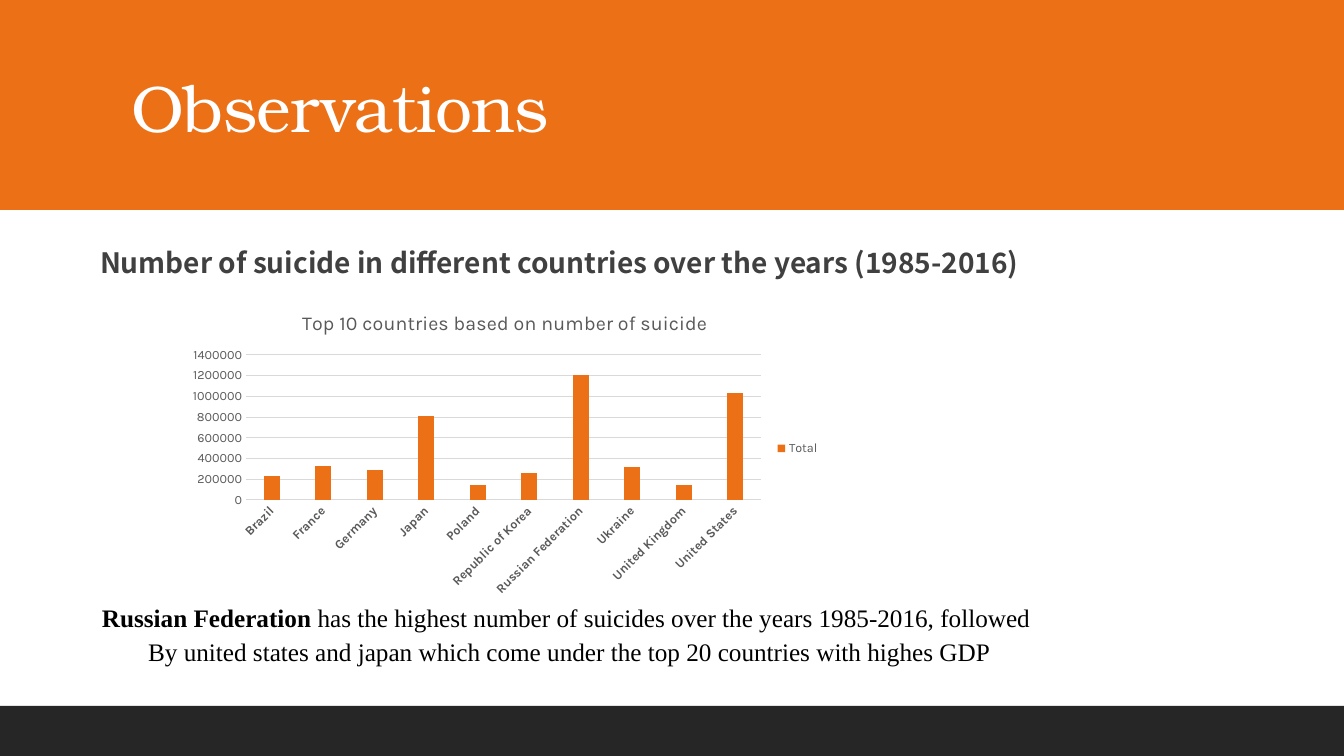
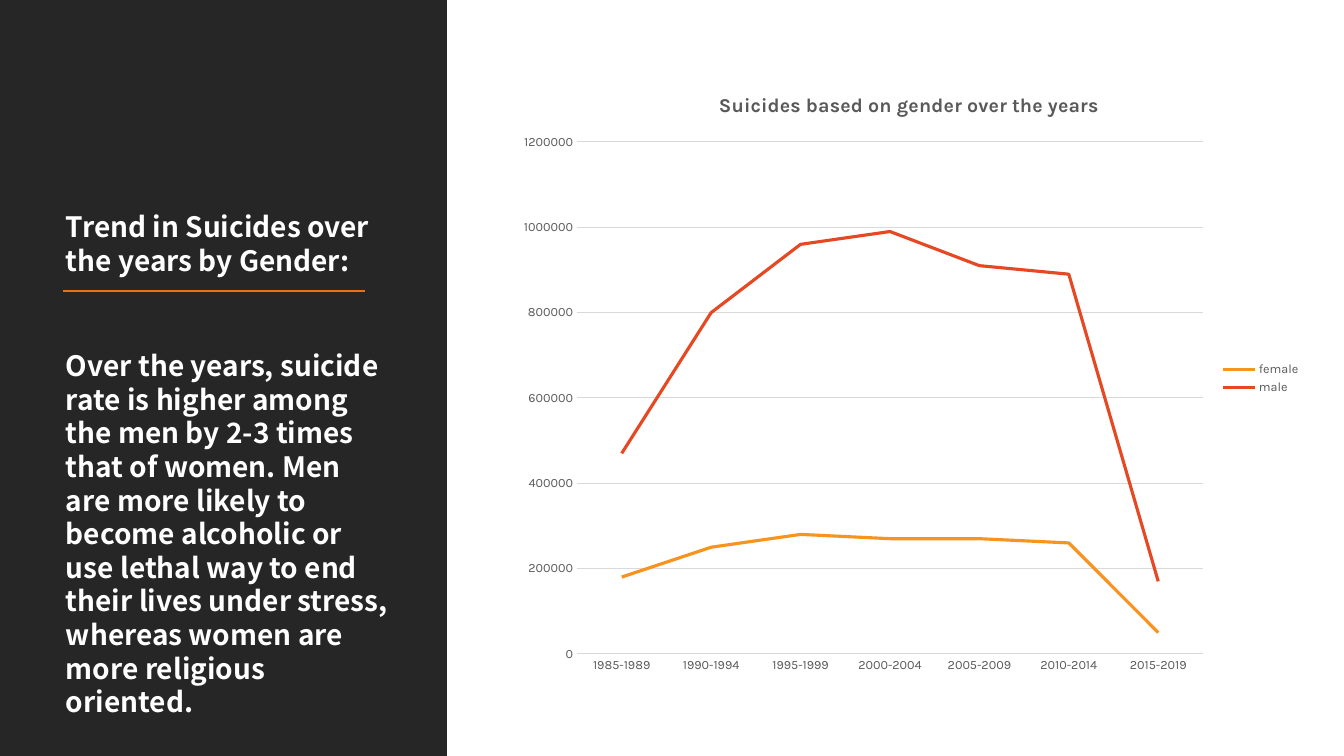
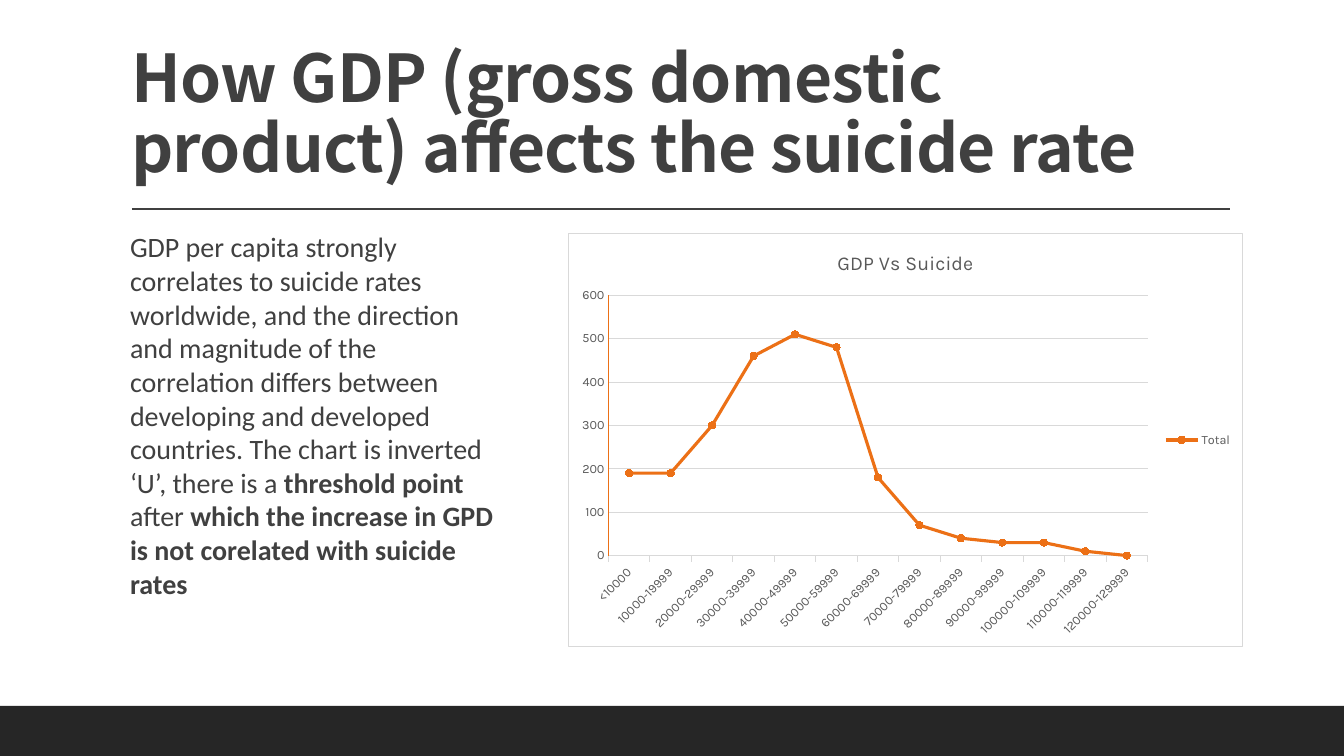
from lxml import etree
from pptx import Presentation
from pptx import util as u
from pptx.chart.data import CategoryChartData
from pptx.dml.color import RGBColor
from pptx.enum import chart as ch, shapes, text
from pptx.oxml.ns import qn

PX = 914400 / 100.8
W, H = 1344, 756

ORANGE = RGBColor(0xEC, 0x70, 0x16)
AMBER = RGBColor(0xF8, 0x93, 0x1D)
RED = RGBColor(0xE6, 0x48, 0x23)
DARK = RGBColor(0x26, 0x26, 0x26)
INK = RGBColor(0x40, 0x40, 0x40)
GREY = RGBColor(0x59, 0x59, 0x59)
RULE = RGBColor(0xD9, 0xD9, 0xD9)
BLACK = RGBColor(0, 0, 0)
WHITE = RGBColor(0xFF, 0xFF, 0xFF)

SANS = "Noto Sans CJK SC"
SERIF = "TeX Gyre Bonum"
CHART_FONT = "Karla"


def px(*lengths):
    return [u.Emu(round(n * PX)) for n in lengths]


def set_font(font, name, size, color, bold=False):
    font.name, font.size, font.bold = name, u.Pt(size), bold
    font.color.rgb = color


def set_line(line, color, width):
    line.color.rgb = color
    line.width = u.Pt(width)


class Deck:
    def __init__(self):
        self.prs = Presentation()
        self.prs.slide_width, self.prs.slide_height = px(W, H)
        self.s = None

    def add_slide(self, titled=True):
        self.s = self.prs.slides.add_slide(self.prs.slide_layouts[5 if titled else 6])

    def title(self, words, font, color, anchor, spacing, bold=False):
        sp = self.s.shapes.title
        sp.left, sp.top, sp.width, sp.height = px(121, 31, 1109, 160)
        tf = sp.text_frame
        tf.word_wrap = True
        tf.auto_size = text.MSO_AUTO_SIZE.NONE
        tf.vertical_anchor = anchor
        p = tf.paragraphs[0]
        p.alignment = text.PP_ALIGN.LEFT
        p.line_spacing = spacing
        r = p.add_run()
        r.text = words
        set_font(r.font, font, 47, color, bold)
        r.font._element.set("spc", "-50")

    def band(self, x, y, w, h, color):
        """Filled rectangle behind everything else on the slide."""
        sp = self.s.shapes.add_shape(shapes.MSO_SHAPE.RECTANGLE, *px(x, y, w, h))
        sp.shadow.inherit = False
        sp.fill.solid()
        sp.fill.fore_color.rgb = color
        sp.line.fill.background()
        self.s.shapes._spTree.insert(2, sp._element)

    def footer(self):
        self.band(0, 706, W, 50, DARK)

    def rule(self, x1, x2, y, color, width):
        sp = self.s.shapes.add_connector(shapes.MSO_CONNECTOR.STRAIGHT, *px(x1, y, x2, y))
        set_line(sp.line, color, width)
        etree.SubElement(sp._element.spPr, qn("a:effectLst"))

    def text(self, box, paragraphs, font, size, color, spacing=None,
             before=(0, 0), align=text.PP_ALIGN.LEFT):
        """Paragraphs are lists of (words, bold); before gives first and later gaps."""
        tf = self.s.shapes.add_textbox(*px(*box)).text_frame
        tf.word_wrap = True
        tf.margin_left = tf.margin_right = 0
        for i, runs in enumerate(paragraphs):
            p = tf.add_paragraph() if i else tf.paragraphs[0]
            p.alignment = align
            p.space_before = u.Pt(before[min(i, 1)])
            if spacing:
                p.line_spacing = u.Pt(spacing)
            for words, bold in runs:
                r = p.add_run()
                r.text = words
                set_font(r.font, font, size, color, bold)

    def chart(self, kind, box, plot_box, title, cats, series, top, step,
              bold_title=False, bold_cats=False, slanted=False):
        """Series are (name, values, colour)."""
        data = CategoryChartData(number_format="0")
        data.categories = cats
        for name, values, _ in series:
            data.add_series(name, values)
        chart = self.s.shapes.add_chart(kind, *px(*box), data).chart
        set_font(chart.font, CHART_FONT, 10, BLACK)

        chart.has_title = True
        r = chart.chart_title.text_frame.paragraphs[0].add_run()
        r.text = title
        set_font(r.font, CHART_FONT, 14, GREY, bold_title)
        chart.chart_title.include_in_layout = False

        chart.has_legend = True
        chart.legend.position = ch.XL_LEGEND_POSITION.RIGHT
        chart.legend.include_in_layout = False
        set_font(chart.legend.font, CHART_FONT, 9, GREY)

        cat, val = chart.category_axis, chart.value_axis
        for axis, bold in ((cat, bold_cats), (val, False)):
            axis.major_tick_mark = axis.minor_tick_mark = ch.XL_TICK_MARK.NONE
            set_font(axis.tick_labels.font, CHART_FONT, 9, GREY, bold)
        set_line(cat.format.line, RULE, 0.75)
        if slanted:
            cat._element.find(qn("c:txPr")).find(qn("a:bodyPr")).set("rot", "-2700000")
        val.format.line.fill.background()
        val.has_major_gridlines = True
        set_line(val.major_gridlines.format.line, RULE, 0.75)
        val.minimum_scale, val.maximum_scale, val.major_unit = 0, top, step

        plot = chart.plots[0]
        plot.vary_by_categories = False
        for sr, (_, _, color) in zip(plot.series, series):
            if kind == ch.XL_CHART_TYPE.COLUMN_CLUSTERED:
                sr.invert_if_negative = False
                sr.format.fill.solid()
                sr.format.fill.fore_color.rgb = color
            else:
                sr.smooth = False
                set_line(sr.format.line, color, 2.25)
        self.place_plot(chart, box, plot_box)
        return chart

    @staticmethod
    def place_plot(chart, box, plot_box):
        """Fix the inner plot area, given in slide px."""
        area = chart._chartSpace.chart.plotArea
        for old in area.findall(qn("c:layout")):
            area.remove(old)
        layout = etree.Element(qn("c:layout"))
        area.insert(0, layout)
        manual = etree.SubElement(layout, qn("c:manualLayout"))
        x, y, w, h = box
        px_, py, pw, ph = plot_box
        settings = [("layoutTarget", "inner"), ("xMode", "edge"), ("yMode", "edge"),
                    ("x", (px_ - x) / w), ("y", (py - y) / h),
                    ("w", pw / w), ("h", ph / h)]
        for tag, value in settings:
            etree.SubElement(manual, qn("c:" + tag)).set("val", str(value))

    @staticmethod
    def frame(chart, fill, border):
        sp_pr = etree.Element(qn("c:spPr"))
        chart._chartSpace.chart.addnext(sp_pr)
        line = etree.Element(qn("a:ln"), w=str(u.Pt(0.75)))
        for parent, color in ((sp_pr, fill), (line, border)):
            solid = etree.SubElement(parent, qn("a:solidFill"))
            etree.SubElement(solid, qn("a:srgbClr"), val=str(color))
        sp_pr.append(line)


def observations(d):
    d.add_slide()
    d.band(0, 0, W, 210, ORANGE)
    d.footer()
    d.title("Observations", SERIF, WHITE, text.MSO_ANCHOR.MIDDLE, 0.9)
    d.text((100, 241, 1109, 44),
           [[("Number of suicide in different countries over the years (1985-2016)", True)]],
           SANS, 20, INK, spacing=24)
    countries = ["Brazil", "France", "Germany", "Japan", "Poland", "Republic of Korea",
                 "Russian Federation", "Ukraine", "United Kingdom", "United States"]
    totals = [230000, 330000, 290000, 810000, 140000, 260000, 1210000, 320000, 140000, 1030000]
    chart = d.chart(ch.XL_CHART_TYPE.COLUMN_CLUSTERED, (180, 295, 650, 307),
                    (246, 355, 515, 145), "Top 10 countries based on number of suicide",
                    countries, [("Total", totals, ORANGE)], 1400000, 200000,
                    bold_cats=True, slanted=True)
    chart.plots[0].gap_width, chart.plots[0].overlap = 219, -27
    d.text((67, 597, 1005, 80), [
        [("Russian Federation", True),
         (" has the highest number of suicides over the years 1985-2016, followed ", False)],
        [("By united states and japan which come under the top 20 countries with highes GDP",
          False)],
    ], "Times New Roman", 18, BLACK, before=(3, 3), align=text.PP_ALIGN.CENTER)


def gender_trend(d):
    d.add_slide(titled=False)
    d.band(0, 0, 447, H, DARK)
    d.rule(63, 365, 291, ORANGE, 1.5)
    d.text((66, 205, 322, 520), [
        [("Trend in Suicides over the years by Gender:", True)],
        [("Over the years, suicide rate is higher among the men by 2-3 times that of women. "
          "Men are more likely to become alcoholic or use lethal way to end their lives "
          "under stress, whereas women are more religious oriented.", True)],
    ], SANS, 20, WHITE, spacing=24, before=(0, 51))
    years = [f"{y}-{y + 4}" for y in range(1985, 2016, 5)]
    female = [180000, 250000, 280000, 270000, 270000, 260000, 50000]
    male = [470000, 800000, 960000, 990000, 910000, 890000, 170000]
    d.chart(ch.XL_CHART_TYPE.LINE, (507, 71, 804, 615), (577, 142, 626, 512),
            "Suicides based on gender over the years", years,
            [("female", female, AMBER), ("male", male, RED)], 1200000, 200000,
            bold_title=True)


def gdp_effect(d):
    d.add_slide()
    d.footer()
    d.title("How GDP (gross domestic product) affects the suicide rate", SANS, INK,
            text.MSO_ANCHOR.BOTTOM, u.Pt(50), bold=True)
    d.rule(132, 1230, 209, INK, 1)
    d.text((130, 225, 373, 380), [[
        ("GDP per capita strongly correlates to suicide rates worldwide, and the direction "
         "and magnitude of the correlation differs between developing and developed "
         "countries. The chart is inverted ‘U’, there is a ", False),
        ("threshold point ", True),
        ("after ", False),
        ("which the increase in GPD is not corelated with suicide rates", True),
    ]], "Calibri", 20, INK, spacing=24)
    incomes = ["<10000"] + [f"{n}-{n + 9999}" for n in range(10000, 120001, 10000)]
    totals = [190, 190, 300, 460, 510, 480, 180, 70, 40, 30, 30, 10, 0]
    chart = d.chart(ch.XL_CHART_TYPE.LINE_MARKERS, (568, 233, 675, 414),
                    (608, 295, 540, 261), "GDP Vs Suicide", incomes,
                    [("Total", totals, ORANGE)], 600, 100, slanted=True)
    chart.category_axis.major_tick_mark = ch.XL_TICK_MARK.OUTSIDE
    set_line(chart.value_axis.format.line, ORANGE, 0.75)
    marker = chart.plots[0].series[0].marker
    marker.style, marker.size = ch.XL_MARKER_STYLE.CIRCLE, 5
    marker.format.fill.solid()
    marker.format.fill.fore_color.rgb = ORANGE
    set_line(marker.format.line, ORANGE, 0.75)
    d.frame(chart, WHITE, RULE)


def main():
    d = Deck()
    for build in (observations, gender_trend, gdp_effect):
        build(d)
    d.prs.save("out.pptx")


if __name__ == "__main__":
    main()
